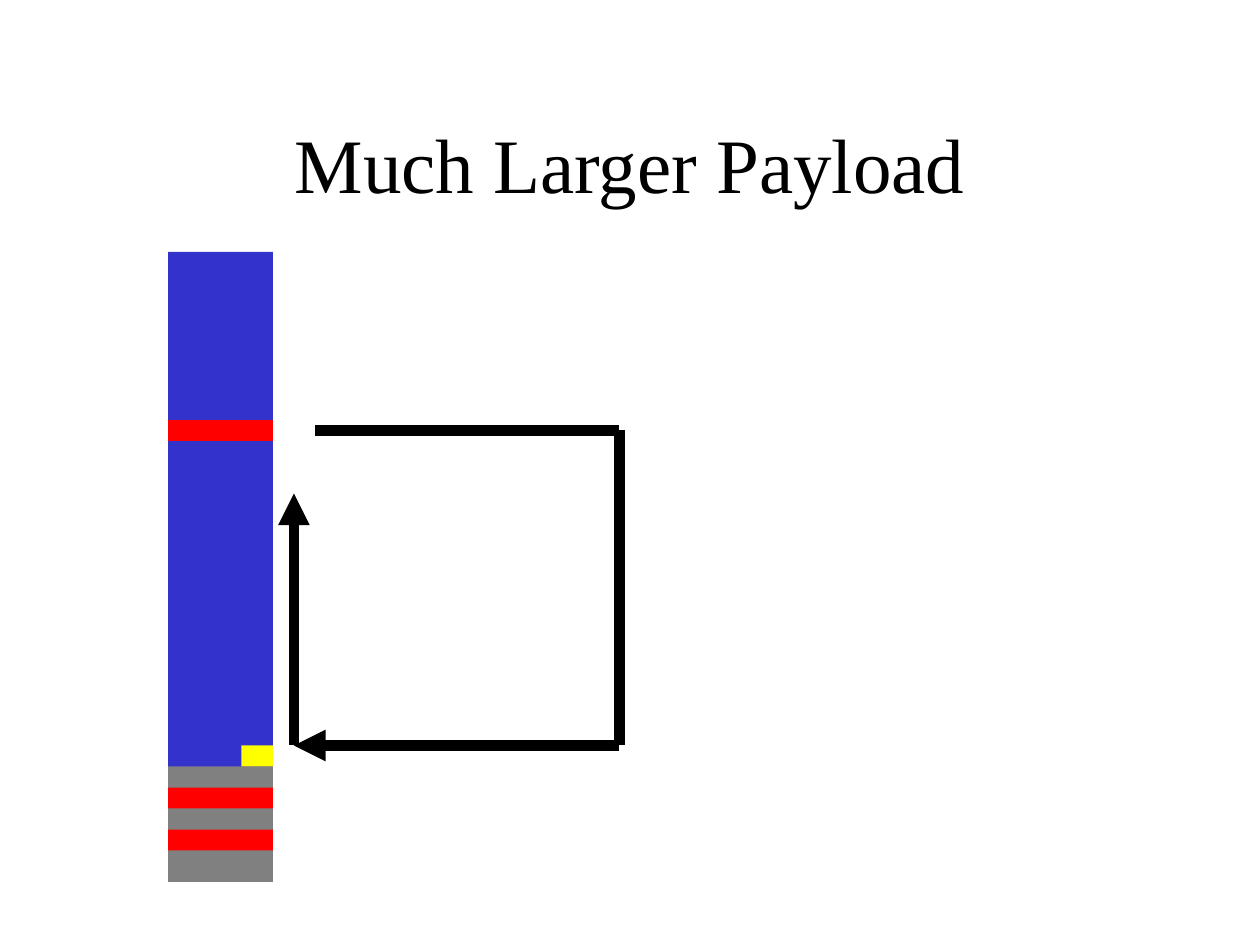
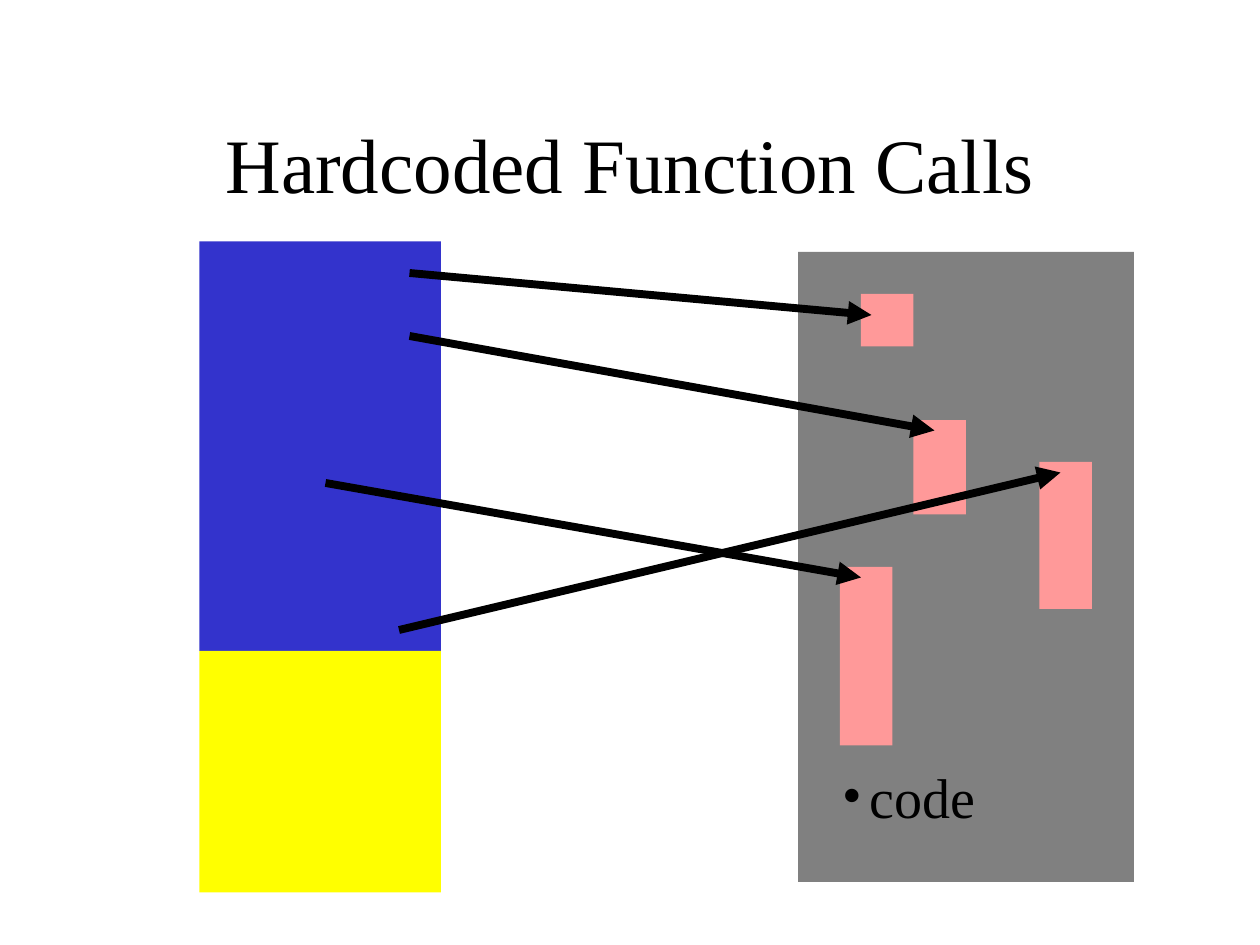
from dataclasses import dataclass
from lxml.etree import SubElement
from pptx import Presentation
from pptx.dml.color import RGBColor
from pptx.enum.shapes import MSO_CONNECTOR, MSO_SHAPE
from pptx.enum.text import MSO_ANCHOR, MSO_AUTO_SIZE, PP_ALIGN
from pptx.oxml.ns import qn
from pptx.util import Cm, Pt


@dataclass(frozen=True)
class Theme:
    font: str = "Times New Roman"
    ink: str = "000000"
    blue: str = "3333CC"
    grey: str = "808080"
    red: str = "FF0000"
    gold: str = "FFFF00"
    pink: str = "FF9999"
    head: int = 44
    body: int = 32


theme = Theme()
cell = 2.54 / 12
wide, high = 120, 90
title_box = (9, 8, 102, 15)

left, width, thin = 16, 10, 2
stack = [(theme.grey, 40, 44)]
stack += [(theme.red, top, thin) for top in (79, 75)]
stack += [(theme.blue, 24, 49), (theme.red, 40, thin)]
loop = [(30, 41), (59, 41), (59, 71), (28, 71)]

slides = [
    {
        "title": "Much Larger Payload",
        "boxes": [(tint, left, top, width, tall) for tint, top, tall in stack]
        + [(theme.gold, 23, 71, 3, thin)],
        "lines": [
            (start, end, end == loop[-1]) for start, end in zip(loop, loop[1:])
        ]
        + [((28, 71), (28, 47), True)],
        "weight": 6,
    },
    {
        "title": "Hardcoded Function Calls",
        "boxes": [
            (theme.blue, 19, 23, 23, 39),
            (theme.gold, 19, 62, 23, 23),
            (theme.grey, 76, 24, 32, 60),
        ]
        + [
            (theme.pink, x, y, 5, tall)
            for x, y, tall in [(82, 28, 5), (99, 44, 14), (87, 40, 9), (80, 54, 17)]
        ],
        "lines": [
            ((39, 26), (83, 30), True),
            ((39, 32), (89, 41), True),
            ((31, 46), (82, 55), True),
            ((38, 60), (101, 45), True),
        ],
        "weight": 4.5,
        "list": ("code", (79, 72, 23, 7.7)),
    },
]


def grid(*units):
    return [Cm(unit * cell) for unit in units]


def place(shape, box):
    shape.left, shape.top, shape.width, shape.height = grid(*box)


def write(shape, text, size):
    frame = shape.text_frame
    frame.word_wrap = True
    frame.auto_size = MSO_AUTO_SIZE.NONE
    para = frame.paragraphs[0]
    run = para.add_run()
    run.text = text
    run.font.name = theme.font
    run.font.size = Pt(size)
    run.font.color.rgb = RGBColor.from_string(theme.ink)
    return para


def add_title(slide, text):
    shape = slide.shapes.title
    place(shape, title_box)
    write(shape, text, theme.head).alignment = PP_ALIGN.CENTER
    shape.text_frame.vertical_anchor = MSO_ANCHOR.MIDDLE


def add_list(slide, text, box):
    shape = slide.placeholders[1]
    place(shape, box)
    props = write(shape, text, theme.body)._p.get_or_add_pPr()
    hang = Cm(0.56)
    props.set("marL", str(hang))
    props.set("indent", str(-hang))
    SubElement(props, qn("a:buFont"), typeface=theme.font)
    SubElement(props, qn("a:buChar"), char="•")
    tree = shape._element.getparent()
    tree.append(shape._element)


def add_box(slide, tint, *box):
    shape = slide.shapes.add_shape(MSO_SHAPE.RECTANGLE, *grid(*box))
    shape.shadow.inherit = False
    shape.fill.solid()
    shape.fill.fore_color.rgb = RGBColor.from_string(tint)
    shape.line.fill.background()


def add_line(slide, start, end, arrow, weight):
    line = slide.shapes.add_connector(MSO_CONNECTOR.STRAIGHT, *grid(*start, *end))
    line.line.width = Pt(weight)
    line.line.color.rgb = RGBColor.from_string(theme.ink)
    if arrow:
        SubElement(line.line._get_or_add_ln(), qn("a:tailEnd"), type="triangle")
    SubElement(line._element.spPr, qn("a:effectLst"))


def main():
    deck = Presentation()
    deck.slide_width, deck.slide_height = grid(wide, high)
    for page in slides:
        slide = deck.slides.add_slide(deck.slide_layouts[1 if "list" in page else 5])
        add_title(slide, page["title"])
        for box in page["boxes"]:
            add_box(slide, *box)
        if "list" in page:
            add_list(slide, *page["list"])
        for line in page["lines"]:
            add_line(slide, *line, page["weight"])
    deck.save("out.pptx")


if __name__ == "__main__":
    main()
